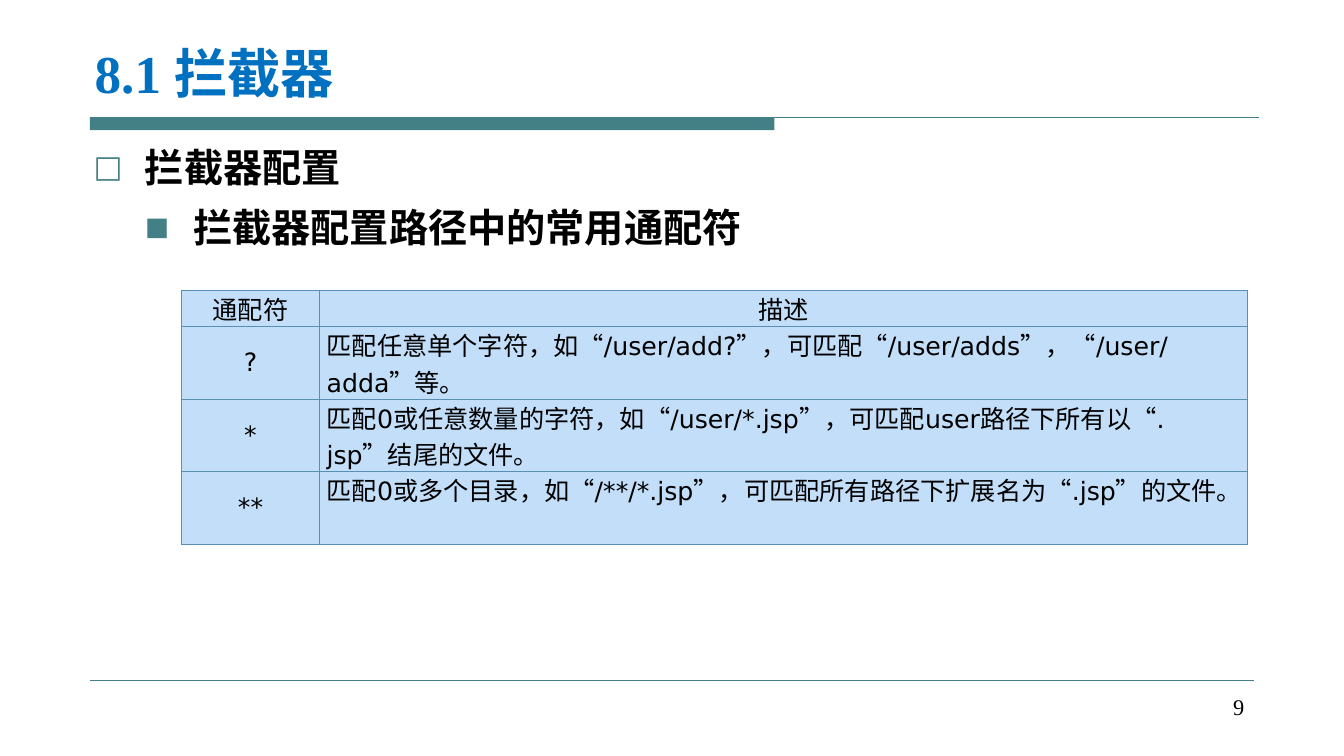
"""Build the slide on interceptor path wildcards."""
from lxml import etree
from pptx import Presentation
from pptx.dml.color import RGBColor
from pptx.enum.lang import MSO_LANGUAGE_ID
from pptx.enum.shapes import MSO_CONNECTOR, MSO_SHAPE
from pptx.enum.text import MSO_ANCHOR, PP_ALIGN
from pptx.oxml.ns import qn
from pptx.util import Inches, Pt

CHINESE = MSO_LANGUAGE_ID.SIMPLIFIED_CHINESE
STRAIGHT = MSO_CONNECTOR.STRAIGHT
RECTANGLE = MSO_SHAPE.RECTANGLE
TOP, MIDDLE, BOTTOM = MSO_ANCHOR.TOP, MSO_ANCHOR.MIDDLE, MSO_ANCHOR.BOTTOM
LEFT, CENTER, RIGHT = PP_ALIGN.LEFT, PP_ALIGN.CENTER, PP_ALIGN.RIGHT
COLORS = {"teal": "438086", "title": "0070C0", "text": "000000",
          "cell": "C2DEF9", "border": "588FB3"}
SERIF, SANS = "Times New Roman", "DejaVu Sans"


def write(para, text, size=28, font=SERIF, color="text", bold=False, align=LEFT):
    para.alignment = align
    span = para.add_run()
    span.text = text
    span.font.size = Pt(size)
    span.font.name = font
    span.font.bold = bold
    span.font.language_id = CHINESE
    span.font.color.rgb = RGBColor.from_string(COLORS[color])


def add_frame(left, top, width, height, anchor=TOP):
    box = page.shapes.add_textbox(Inches(left), Inches(top), Inches(width), Inches(height))
    box.text_frame.word_wrap = True
    box.text_frame.vertical_anchor = anchor
    return box.text_frame


deck = Presentation()
deck.slide_width, deck.slide_height = Inches(13.33), Inches(7.5)
page = deck.slides.add_slide(deck.slide_layouts[6])

bar = page.shapes.add_shape(RECTANGLE, Inches(0.89), Inches(1.17), Inches(6.79), Inches(0.12))
bar.shadow.inherit = False
bar.fill.solid()
bar.fill.fore_color.rgb = RGBColor.from_string(COLORS["teal"])
bar.line.fill.background()

for right, top, weight in [(12.49, 1.17, 0.75), (12.44, 6.75, 0.25)]:
    rule = page.shapes.add_connector(STRAIGHT, Inches(0.89), Inches(top), Inches(right), Inches(top))
    rule.line.color.rgb = RGBColor.from_string(COLORS["teal"])
    rule.line.width = Pt(weight)
    etree.SubElement(rule._element.spPr, qn("a:effectLst"))

title = add_frame(0.84, 0.25, 11.67, 0.83, anchor=BOTTOM)
write(title.paragraphs[0], "8.1 拦截器", size=38, color="title", bold=True)

body = add_frame(0.83, 1.33, 11.67, 5.25)
outline = [("拦截器配置", "□", 0.51, 0.51, 78),
           ("拦截器配置路径中的常用通配符", "■", 0.99, 0.48, 65)]
for level, (text, bullet, margin, hanging, percent) in enumerate(outline):
    para = body.add_paragraph() if level else body.paragraphs[0]
    para.level = level
    para.line_spacing = 1.1
    para.space_before = Pt(5.6)
    write(para, text, bold=True)
    props = para._p.get_or_add_pPr()
    props.set("marL", str(Inches(margin)))
    props.set("indent", str(-Inches(hanging)))
    shade = etree.SubElement(props, qn("a:buClr"))
    etree.SubElement(shade, qn("a:srgbClr"), val=COLORS["teal"])
    etree.SubElement(props, qn("a:buSzPct"), val=str(percent * 1000))
    etree.SubElement(props, qn("a:buFont"), typeface=SANS)
    etree.SubElement(props, qn("a:buChar"), char=bullet)

number = add_frame(9.55, 6.83, 2.89, 0.52)
write(number.paragraphs[0], "9", size=16, align=RIGHT)

wildcards = [
    ("通配符", "描述"),
    ("?", "匹配任意单个字符，如“/user/add?”，可匹配“/user/adds”，“/user/adda”等。"),
    ("*", "匹配0或任意数量的字符，如“/user/*.jsp”，可匹配user路径下所有以“.jsp”结尾的文件。"),
    ("**", "匹配0或多个目录，如“/**/*.jsp”，可匹配所有路径下扩展名为“.jsp”的文件。"),
]
table = page.shapes.add_table(len(wildcards), 2, Inches(1.8), Inches(2.88),
                              Inches(10.57), Inches(2.52)).table
table.columns[0].width, table.columns[1].width = Inches(1.37), Inches(9.2)
for row, texts in enumerate(wildcards):
    table.rows[row].height = Inches(0.72 if row else 0.36)
    for column, text in enumerate(texts):
        cell = table.cell(row, column)
        cell.margin_left = cell.margin_right = Inches(0.07)
        cell.margin_top = cell.margin_bottom = 0
        cell.vertical_anchor = MIDDLE if row and column == 0 else TOP
        write(cell.text_frame.paragraphs[0], text, size=18, font=SANS,
              align=LEFT if row and column else CENTER)
        props = cell._tc.get_or_add_tcPr()
        for side in ("a:lnL", "a:lnR", "a:lnT", "a:lnB"):
            edge = etree.SubElement(props, qn(side), w=str(Pt(0.75)))
            paint = etree.SubElement(edge, qn("a:solidFill"))
            etree.SubElement(paint, qn("a:srgbClr"), val=COLORS["border"])
        cell.fill.solid()
        cell.fill.fore_color.rgb = RGBColor.from_string(COLORS["cell"])

deck.save("out.pptx")
